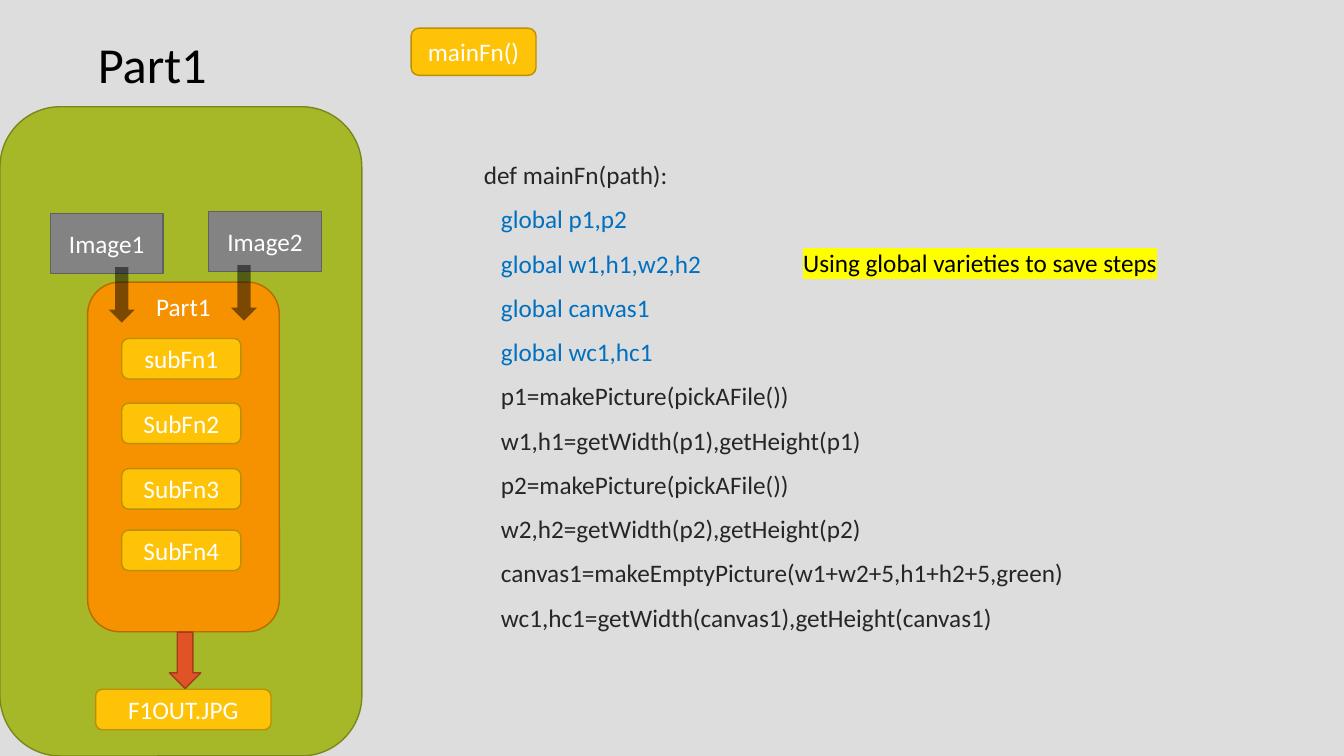
from lxml import etree
from pptx import Presentation
from pptx.dml.color import RGBColor
from pptx.enum.shapes import MSO_SHAPE
from pptx.enum.text import MSO_ANCHOR, MSO_AUTO_SIZE, PP_ALIGN
from pptx.oxml.ns import qn
from pptx.util import Cm, Pt

RECTANGLE, ROUNDED = MSO_SHAPE.RECTANGLE, MSO_SHAPE.ROUNDED_RECTANGLE
PROCESS, DOWN_ARROW = MSO_SHAPE.FLOWCHART_ALTERNATE_PROCESS, MSO_SHAPE.DOWN_ARROW
TOP, MIDDLE = MSO_ANCHOR.TOP, MSO_ANCHOR.MIDDLE
LEFT, CENTER = PP_ALIGN.LEFT, PP_ALIGN.CENTER
NO_AUTOFIT = MSO_AUTO_SIZE.NONE

BACKGROUND = RGBColor(0xDD, 0xDD, 0xDD)
BLACK = RGBColor(0, 0, 0)
WHITE = RGBColor(0xFF, 0xFF, 0xFF)
CODE_GRAY = RGBColor(0x26, 0x26, 0x26)
CODE_BLUE = RGBColor(0x00, 0x70, 0xC0)
YELLOW = RGBColor(0xFF, 0xFF, 0x00)
# Each pair is fill and outline
GREEN = RGBColor(0xA6, 0xB7, 0x27), RGBColor(0x7B, 0x87, 0x1D)
GRAY = RGBColor(0x83, 0x83, 0x83), RGBColor(0x61, 0x61, 0x61)
ORANGE = RGBColor(0xF6, 0x92, 0x00), RGBColor(0xB6, 0x6C, 0x00)
GOLD = RGBColor(0xFE, 0xC3, 0x06), RGBColor(0xBC, 0x90, 0x04)
RED = RGBColor(0xDF, 0x53, 0x27), RGBColor(0xA5, 0x3D, 0x1D)
SHADE = BLACK, None

GLOBALS = ["global p1,p2", "global w1,h1,w2,h2", "global canvas1", "global wc1,hc1"]
STEPS = [
    "p1=makePicture(pickAFile())",
    "w1,h1=getWidth(p1),getHeight(p1)",
    "p2=makePicture(pickAFile())",
    "w2,h2=getWidth(p2),getHeight(p2)",
    "canvas1=makeEmptyPicture(w1+w2+5,h1+h2+5,green)",
    "wc1,hc1=getWidth(canvas1),getHeight(canvas1)",
]


def set_values(target, values):
    """Set each attribute named in a dict of format values."""
    for name, value in values.items():
        setattr(target, name, value)


def place(shape, box):
    """Move and size a shape to a box of centimetres."""
    set_values(shape, dict(zip(("left", "top", "width", "height"), map(Cm, box))))


class SlideBuilder:
    """Holds the text style and the current slide."""

    font_name = "Calibri"
    font_size = 18

    def __init__(self, slide):
        """Keep the slide and paint its background."""
        self.slide = slide
        slide.background.fill.solid()
        slide.background.fill.fore_color.rgb = BACKGROUND

    def add_text(self, paragraph, text, color, alignment=LEFT, size=font_size):
        """Add one styled run to a paragraph and return it."""
        paragraph.alignment = alignment
        run = paragraph.add_run()
        run.text = text
        set_values(run.font, {"name": self.font_name, "size": Pt(size)})
        run.font.color.rgb = color
        return run

    def title(self, box, text):
        """Fill the title placeholder."""
        title = self.slide.shapes.title
        place(title, box)
        frame = title.text_frame
        set_values(frame, {"vertical_anchor": TOP, "auto_size": NO_AUTOFIT})
        self.add_text(frame.paragraphs[0], text, BLACK, size=36)

    def code(self, box, lines):
        """Fill the body placeholder with (text, colour, indent) lines."""
        body = self.slide.placeholders[1]
        place(body, box)
        frame = body.text_frame
        set_values(frame, {"vertical_anchor": TOP, "auto_size": NO_AUTOFIT})
        for index, (text, color, indent) in enumerate(lines):
            paragraph = frame.add_paragraph() if index else frame.paragraphs[0]
            set_values(paragraph, {"space_before": Pt(10), "line_spacing": 1.0})
            self.add_text(paragraph, text, color)
            properties = paragraph._p.get_or_add_pPr()
            properties.set("marL", str(Cm(indent)))
            properties.set("indent", "0")
            etree.SubElement(properties, qn("a:buNone"))

    def shape(self, kind, box, colors, text="", anchor=MIDDLE, opacity=None):
        """Add a filled preset shape with an optional centred label."""
        shape = self.slide.shapes.add_shape(kind, *map(Cm, box))
        shape.shadow.inherit = False
        fill, line = colors
        shape.fill.solid()
        shape.fill.fore_color.rgb = fill
        if line is None:
            shape.line.fill.background()
        else:
            shape.line.color.rgb = line
            shape.line.width = Pt(1)
        if opacity is not None:
            color = shape._element.spPr.find(qn("a:solidFill"))[0]
            etree.SubElement(color, qn("a:alpha"), val=str(opacity * 1000))
        if text:
            frame = shape.text_frame
            set_values(frame, {"vertical_anchor": anchor, "word_wrap": True,
                               "margin_top": 0, "margin_bottom": 0})
            self.add_text(frame.paragraphs[0], text, WHITE, CENTER)

    def note(self, box, text):
        """Add a line of highlighted text."""
        frame = self.slide.shapes.add_textbox(*map(Cm, box)).text_frame
        frame.word_wrap = False
        run = self.add_text(frame.paragraphs[0], text, BLACK)
        highlight = etree.Element(qn("a:highlight"))
        etree.SubElement(highlight, qn("a:srgbClr"), val=str(YELLOW))
        run._r.rPr.find(qn("a:solidFill")).addnext(highlight)


presentation = Presentation()
presentation.slide_width, presentation.slide_height = Cm(33.87), Cm(19.05)
builder = SlideBuilder(presentation.slides.add_slide(presentation.slide_layouts[1]))

builder.title((2.21, 0.71, 4.09, 1.8), "Part1")
code_lines = [("def mainFn(path):", CODE_GRAY, 0)]
code_lines += [(text, CODE_BLUE, 0.43) for text in GLOBALS]
code_lines += [(text, CODE_GRAY, 0.43) for text in STEPS]
builder.code((11.94, 3.89, 21.21, 13.94), code_lines)

builder.shape(ROUNDED, (0, 2.69, 9.12, 16.36), GREEN)
for text, left, top in (("Image1", 1.27, 5.38), ("Image2", 5.26, 5.33)):
    builder.shape(RECTANGLE, (left, top, 2.84, 1.52), GRAY, text)
builder.shape(ROUNDED, (2.21, 7.11, 4.83, 8.81), ORANGE, "Part1", TOP)
for text, top in (("subFn1", 8.53), ("SubFn2", 10.16), ("SubFn3", 11.81), ("SubFn4", 13.36)):
    builder.shape(PROCESS, (3.07, top, 3, 1.02), GOLD, text)
for left, top in ((2.74, 6.73), (5.82, 6.68)):
    builder.shape(DOWN_ARROW, (left, top, 0.66, 1.4), SHADE, opacity=50)
builder.note((19.99, 6.1, 9.93, 1.02), "Using global varieties to save steps")
builder.shape(PROCESS, (2.41, 17.37, 4.42, 1.02), GOLD, "F1OUT.JPG")
builder.shape(DOWN_ARROW, (4.27, 15.93, 0.79, 1.42), RED)
builder.shape(PROCESS, (10.36, 0.71, 3.15, 1.19), GOLD, "mainFn()")

presentation.save("out.pptx")
